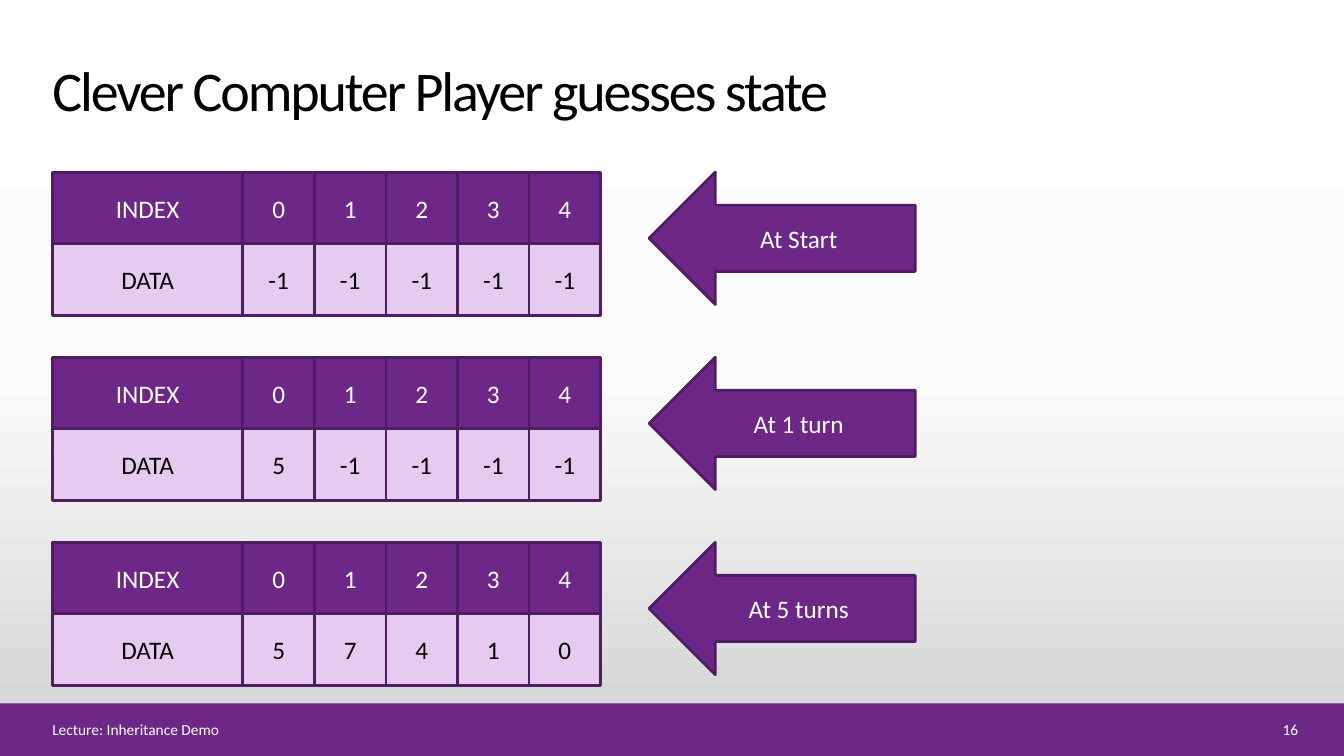
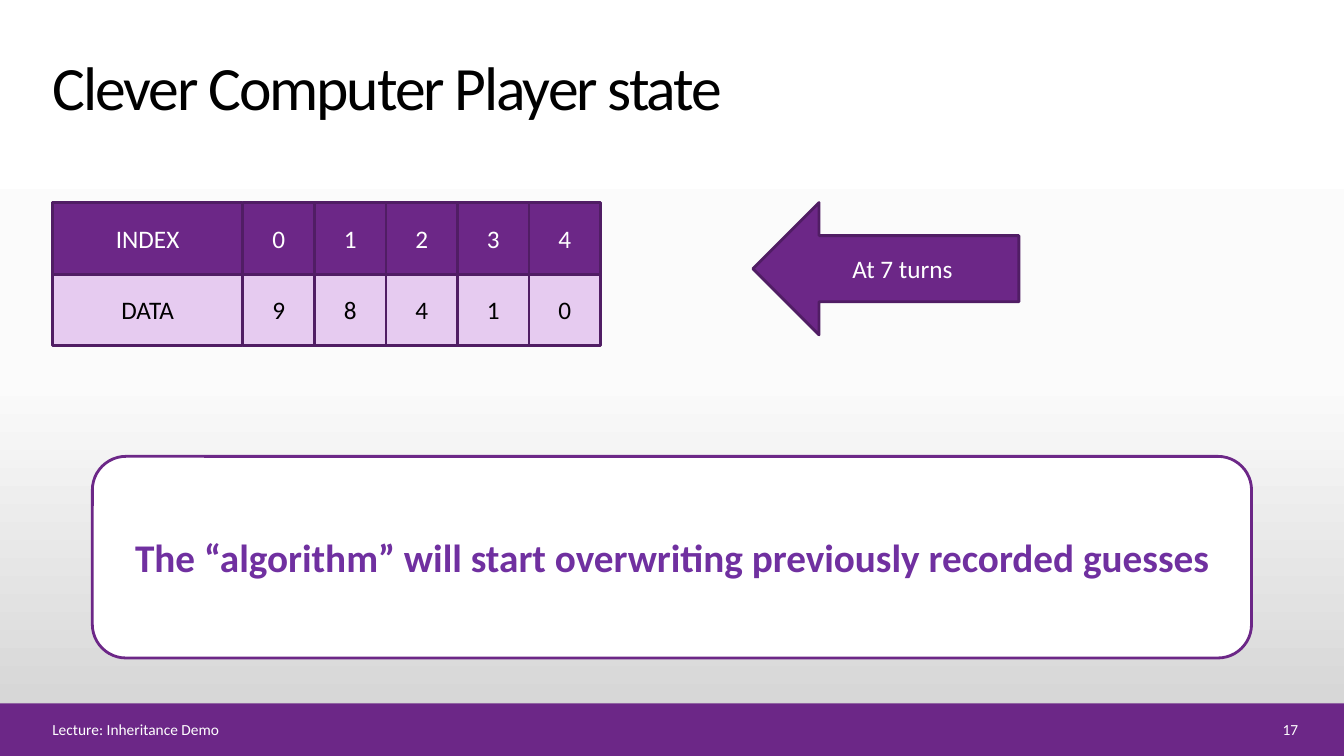
from copy import deepcopy
from dataclasses import dataclass

from pptx import Presentation
from pptx.dml.color import RGBColor
from pptx.enum import shapes, text
from pptx.oxml.ns import qn
from pptx.util import Pt


# Theme: every colour and type size
@dataclass(frozen=True)
class Theme:
    font: str = "Calibri"
    purple: str = "6C2787"
    outline: str = "501D64"
    lilac: str = "E6CBF0"
    accent: str = "7030A0"
    white: str = "FFFFFF"
    black: str = "000000"
    backdrop: tuple = ((0, "FFFFFF"), (0.5, "FBFBFB"), (1, "D1D1D1"))
    label_size: float = 18
    callout_size: float = 28
    footer_size: float = 11
    title_spacing: float = -1.5
    line_width: float = 2


THEME = Theme()

# Shared measures, in points
WIDTH, HEIGHT = 960, 540
BAND_TOP = 502.5
TEXT_LEFT = 30.25
ARRAY_LEFT, LABEL_WIDTH, CELL = 37.5, 136, 51.1
ARROW_WIDTH, ARROW_HEIGHT = 190, 94.5
FOOTER = "Lecture: Inheritance Demo"


@dataclass(frozen=True)
class Frame:
    left: float
    top: float
    width: float
    height: float

    def lengths(self) -> tuple:
        return Pt(self.left), Pt(self.top), Pt(self.width), Pt(self.height)


@dataclass(frozen=True)
class TextStyle:
    size: float
    color: str
    align: text.PP_ALIGN = text.PP_ALIGN.CENTER
    anchor: text.MSO_ANCHOR = text.MSO_ANCHOR.MIDDLE
    bold: bool = False


LIGHT_LABEL = TextStyle(THEME.label_size, THEME.white)
DARK_LABEL = TextStyle(THEME.label_size, THEME.black)
FOOTER_LEFT = TextStyle(THEME.footer_size, THEME.white, text.PP_ALIGN.LEFT)
FOOTER_RIGHT = TextStyle(THEME.footer_size, THEME.white, text.PP_ALIGN.RIGHT)
CALLOUT = TextStyle(THEME.callout_size, THEME.accent, bold=True)


@dataclass(frozen=True)
class ArrayState:
    caption: str
    values: tuple
    top: float
    arrow_left: float


@dataclass(frozen=True)
class PageContent:
    number: int
    title: str
    title_size: float
    states: tuple
    callout: str = ""


FIRST_TOP, STATE_STEP = 123, 132.2
GUESSES = (
    ("At Start", (-1, -1, -1, -1, -1)),
    ("At 1 turn", (5, -1, -1, -1, -1)),
    ("At 5 turns", (5, 7, 4, 1, 0)),
)
PAGES = (
    PageContent(
        16, "Clever Computer Player guesses state", 40,
        tuple(ArrayState(caption, values, FIRST_TOP + i * STATE_STEP, 463.7)
              for i, (caption, values) in enumerate(GUESSES)),
    ),
    PageContent(
        17, "Clever Computer Player state", 44,
        (ArrayState("At 7 turns", (9, 8, 4, 1, 0), 144.7, 537.8),),
        "The “algorithm” will start overwriting previously recorded guesses",
    ),
)


# Drawing helpers
def write(box, words: str, style: TextStyle):
    """Put one formatted run into a shape and return the run."""
    frame = box.text_frame
    frame.word_wrap = True
    frame.auto_size = text.MSO_AUTO_SIZE.NONE
    frame.vertical_anchor = style.anchor
    para = frame.paragraphs[0]
    para.alignment = style.align
    span = para.add_run()
    span.text = words
    span.font.name = THEME.font
    span.font.size = Pt(style.size)
    span.font.bold = style.bold
    span.font.color.rgb = RGBColor.from_string(style.color)
    return span


def add_block(canvas, kind: shapes.MSO_SHAPE, frame: Frame, fill: str, line: str = ""):
    """Add a flat preset shape, outlined when a line colour is given."""
    box = canvas.add_shape(kind, *frame.lengths())
    box.shadow.inherit = False
    box.fill.solid()
    box.fill.fore_color.rgb = RGBColor.from_string(fill)
    if line:
        box.line.color.rgb = RGBColor.from_string(line)
        box.line.width = Pt(THEME.line_width)
    else:
        box.line.fill.background()
    return box


def add_label(page, frame: Frame, words: str, style: TextStyle) -> None:
    write(page.shapes.add_textbox(*frame.lengths()), words, style)


def add_title(page, words: str, size: float) -> None:
    title = page.shapes.title
    title.left, title.top, title.width, title.height = Frame(TEXT_LEFT, 28.8, 748.8, 62.6).lengths()
    style = TextStyle(size, THEME.black, text.PP_ALIGN.LEFT, text.MSO_ANCHOR.BOTTOM)
    span = write(title, words, style)
    span.font._element.set("spc", str(round(THEME.title_spacing * 100)))


def add_array(page, state: ArrayState) -> None:
    """Draw the index row over the data row, with the arrow beside them."""
    cells = page.shapes.add_group_shape().shapes
    rows = (
        (("INDEX", *range(len(state.values))), THEME.purple, LIGHT_LABEL),
        (("DATA", *state.values), THEME.lilac, DARK_LABEL),
    )
    for row, (entries, fill, style) in enumerate(rows):
        left = ARRAY_LEFT
        for column, entry in enumerate(entries):
            width = CELL if column else LABEL_WIDTH
            frame = Frame(left, state.top + row * CELL, width, CELL)
            cell = add_block(cells, shapes.MSO_SHAPE.RECTANGLE, frame, fill, THEME.outline)
            write(cell, str(entry), style)
            left += width
    frame = Frame(state.arrow_left, state.top, ARROW_WIDTH, ARROW_HEIGHT)
    arrow = add_block(page.shapes, shapes.MSO_SHAPE.LEFT_ARROW, frame, THEME.purple, THEME.outline)
    write(arrow, state.caption, LIGHT_LABEL)


# Master: gradient background and footer band
def style_master(deck, page) -> None:
    master = deck.slide_master
    fill = master.background.fill
    fill.gradient()
    fill.gradient_angle = 270
    stop_list = next(master.element.iter(qn("a:gsLst")))
    stop_list.insert(1, deepcopy(stop_list[0]))
    for stop, (position, color) in zip(fill.gradient_stops, THEME.backdrop):
        stop.position = position
        stop.color.rgb = RGBColor.from_string(color)

    # Masters cannot add shapes, so the band is made on a page and moved
    frame = Frame(0, BAND_TOP, WIDTH, HEIGHT - BAND_TOP)
    band = add_block(page.shapes, shapes.MSO_SHAPE.RECTANGLE, frame, THEME.purple)
    next(band.element.iter(qn("p:cNvPr"))).set("id", "100")
    master.shapes.element.append(band.element)


def build_page(page, content: PageContent) -> None:
    add_title(page, content.title, content.title_size)
    for state in content.states:
        add_array(page, state)
    add_label(page, Frame(TEXT_LEFT, 512.6, 838.8, 16.6), FOOTER, FOOTER_LEFT)
    add_label(page, Frame(880.5, 512.6, 54, 16.6), str(content.number), FOOTER_RIGHT)
    if content.callout:
        box = add_block(page.shapes, shapes.MSO_SHAPE.ROUNDED_RECTANGLE,
                        Frame(66, 326, 828, 144), THEME.white, THEME.purple)
        write(box, content.callout, CALLOUT)


def main() -> None:
    deck = Presentation()
    deck.slide_width, deck.slide_height = Pt(WIDTH), Pt(HEIGHT)
    title_only = deck.slide_layouts.get_by_name("Title Only")
    pages = [deck.slides.add_slide(title_only) for _ in PAGES]
    style_master(deck, pages[0])
    for page, content in zip(pages, PAGES):
        build_page(page, content)
    deck.save("out.pptx")


if __name__ == "__main__":
    main()
